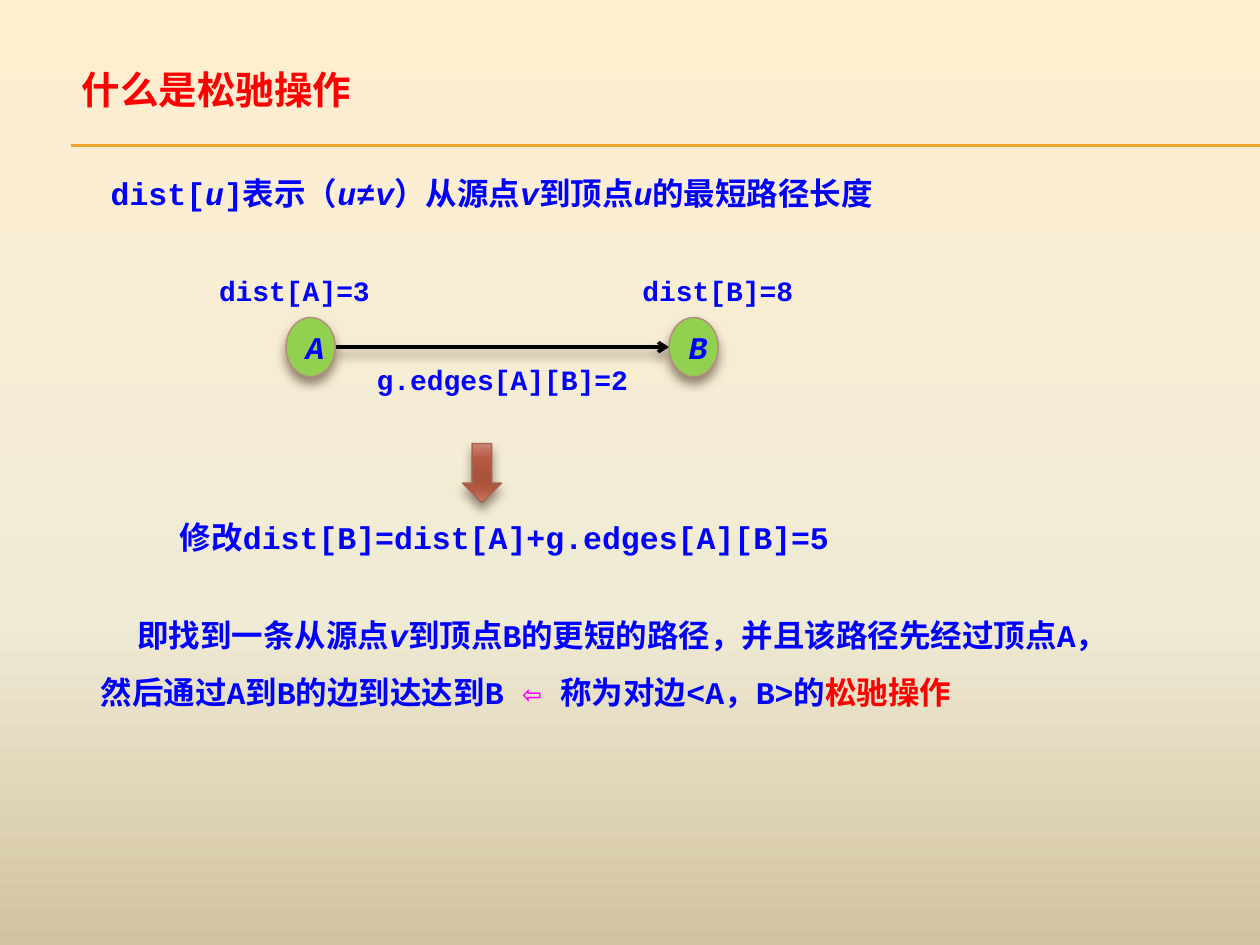
from lxml import etree
from pptx import Presentation
from pptx import util as u
from pptx.dml.color import RGBColor
from pptx.enum import shapes, text
from pptx.oxml.ns import qn

# Grid of 100 columns by 75 rows
COLS, ROWS = 100, 75
WIDTH, HEIGHT = u.Inches(10), u.Inches(7.5)
MONO, CJK = "Courier New", "Noto Sans CJK SC"
BLUE, RED, PINK = "0000FF", "FF0000", "FF00FF"


def color(value):
    return RGBColor.from_string(value)


def grid(col, row):
    return round(col * WIDTH / COLS), round(row * HEIGHT / ROWS)


def box(col, row, cols, rows):
    return grid(col, row) + grid(cols, rows)


def sub(parent, tag, **attrs):
    return etree.SubElement(parent, qn(tag), {k: str(v) for k, v in attrs.items()})


def paint_gradient(fill, element, stops):
    """Fill from top to bottom with (percent, colour) stops."""
    fill.gradient()
    fill.gradient_angle = 270
    stop_list = next(element.iter(qn("a:gsLst")))
    for old in list(stop_list):
        stop_list.remove(old)
    for percent, value in stops:
        stop = sub(stop_list, "a:gs", pos=percent * 1000)
        sub(stop, "a:srgbClr", val=value)


def set_line(sp, value, width):
    sp.line.color.rgb = color(value)
    sp.line.width = u.Pt(width)


def set_effects(sp, shadow=True):
    effects = sub(sp.element.spPr, "a:effectLst")
    if shadow:
        outer = sub(effects, "a:outerShdw", blurRad=u.Pt(6), dist=u.Pt(4),
                    dir=5400000, rotWithShape=0)
        sub(sub(outer, "a:srgbClr", val="4E3B30"), "a:alpha", val=60000)


def write(p, parts, size, font=MONO):
    """Add (text, colour) parts; text between asterisks is italic."""
    for content, value in parts:
        for i, piece in enumerate(content.split("*")):
            if not piece:
                continue
            r = p.add_run()
            r.text = piece
            f = r.font
            f.size, f.name, f.bold, f.italic = u.Pt(size), font, True, i % 2 == 1
            f.color.rgb = color(value)
            sub(r._r.get_or_add_rPr(), "a:ea", typeface=CJK)


def add_title(s, content):
    sp = s.shapes.title
    sp.left, sp.top, sp.width, sp.height = box(5.5, 4.7, 37.5, 4.7)
    tf = sp.text_frame
    tf.auto_size = text.MSO_AUTO_SIZE.NONE
    tf.vertical_anchor = text.MSO_ANCHOR.TOP
    p = tf.paragraphs[0]
    p.alignment = text.PP_ALIGN.LEFT
    write(p, [(content, RED)], 22, CJK)


def add_text(s, place, parts, size=18):
    tf = s.shapes.add_textbox(*box(*place)).text_frame
    tf.word_wrap = True
    tf.auto_size = text.MSO_AUTO_SIZE.SHAPE_TO_FIT_TEXT
    p = tf.paragraphs[0]
    write(p, parts, size)
    return p


def add_line(s, start, end, value, width):
    line = s.shapes.add_connector(shapes.MSO_CONNECTOR.STRAIGHT,
                                  *grid(*start), *grid(*end))
    set_line(line, value, width)
    return line


def add_edge(s, start, end):
    edge = add_line(s, start, end, "000000", 2)
    sub(edge.element.spPr.find(qn("a:ln")), "a:tailEnd", type="arrow")
    set_effects(edge)


def add_vertex(s, col, row, name):
    sp = s.shapes.add_shape(shapes.MSO_SHAPE.OVAL, *box(col, row, 3.9, 4.7))
    sp.fill.solid()
    sp.fill.fore_color.rgb = color("92D050")
    set_line(sp, "B58B80", 0.79)
    set_effects(sp)
    tf = sp.text_frame
    tf.vertical_anchor = text.MSO_ANCHOR.MIDDLE
    p = tf.paragraphs[0]
    p.alignment = text.PP_ALIGN.CENTER
    write(p, [(f"*{name}*", BLUE)], 18)


def add_down_arrow(s, place):
    sp = s.shapes.add_shape(shapes.MSO_SHAPE.DOWN_ARROW, *box(*place))
    paint_gradient(sp.fill, sp.element, [
        (0, "CD8473"), (25, "B75B42"), (50, "AA533C"),
        (65, "AA533C"), (80, "B65B42"), (100, "C77D6B")])
    set_line(sp, "A5644E", 0.79)
    set_effects(sp)


def main():
    prs = Presentation()
    prs.slide_width, prs.slide_height = WIDTH, HEIGHT
    s = prs.slides.add_slide(prs.slide_layouts[5])
    paint_gradient(s.background.fill, s.element,
                   [(0, "FFEFD1"), (65, "F0EBD5"), (100, "D1C39F")])

    # Title with its double rule
    for row in (11.5, 11.6):
        set_effects(add_line(s, (5.6, row), (COLS, row), "F0A22E", 0.75), shadow=False)
    add_title(s, "什么是松驰操作")

    # Definition
    add_text(s, (7.8, 13.3, 64.8, 4),
             [("dist[*u*]表示（*u*≠*v*）从源点*v*到顶点*u*的最短路径长度", BLUE)])

    # Graph with one edge
    add_edge(s, (26.6, 27.55), (53.1, 27.55))
    add_text(s, (28.9, 28.3, 24.2, 3.7), [("g.edges[A][B]=2", BLUE)], 16)
    for name, dist, col, label_col in (("A", 3, 22.7, 16.4), ("B", 8, 53.1, 50)):
        add_vertex(s, col, 25.2, name)
        add_text(s, (label_col, 21.2, 16.4, 3.7), [(f"dist[{name}]={dist}", BLUE)], 16)

    # Result of the relaxation
    add_down_arrow(s, (36.7, 35.2, 3.1, 4.7))
    add_text(s, (13.3, 40.6, 54.7, 4), [("修改dist[B]=dist[A]+g.edges[A][B]=5", BLUE)])

    # Explanation
    p = add_text(s, (7, 46.9, 82, 9.6), [
        ("即找到一条从源点*v*到顶点B的更短的路径，并且该路径先经过顶点A，"
         "然后通过A到B的边到达达到B ", BLUE),
        ("⇦ ", PINK), ("称为对边<A，B>的", BLUE), ("松驰操作", RED)])
    p.line_spacing = 1.5
    p._p.get_or_add_pPr().set("indent", str(u.Inches(0.29)))

    prs.save("out.pptx")


if __name__ == "__main__":
    main()
